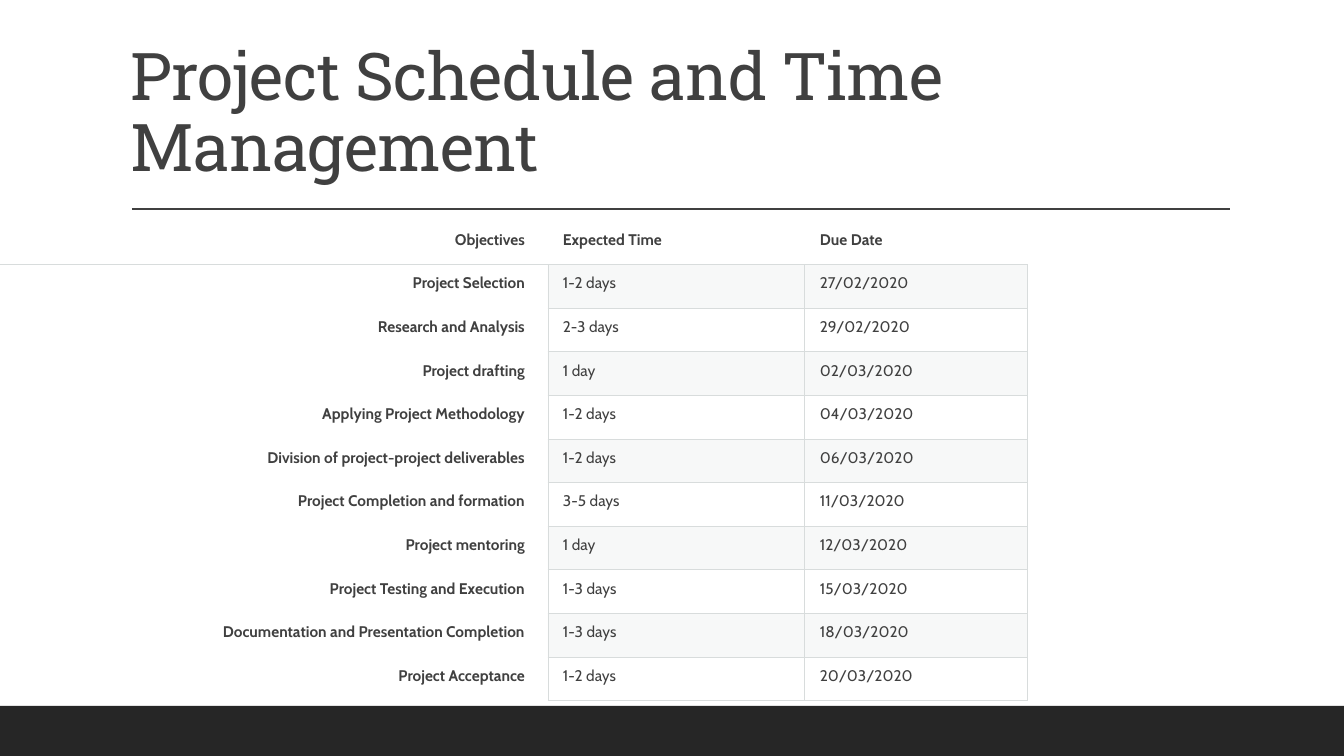
"""Build the project schedule slide with its table of objectives and dates."""
from lxml import etree
from pptx import Presentation
from pptx.dml.color import RGBColor
from pptx.enum.shapes import MSO_CONNECTOR, MSO_SHAPE
from pptx.enum.text import MSO_ANCHOR, PP_ALIGN
from pptx.oxml.ns import qn
from pptx.util import Pt

SCALE = 12192000 / 1344
COLORS = {"text": "404040", "bar": "262626", "border": "D8DCDC", "band": "D8DEDC", "white": "FFFFFF"}
NO_STYLE = "{2D5ABB26-0587-4C30-8999-92F81FD0307C}"
ROWS = [
    ("Objectives", "Expected Time", "Due Date"),
    ("Project Selection", "1-2 days", "27/02/2020"),
    ("Research and Analysis", "2-3 days", "29/02/2020"),
    ("Project drafting", "1 day", "02/03/2020"),
    ("Applying Project Methodology", "1-2 days", "04/03/2020"),
    ("Division of project-project deliverables", "1-2 days", "06/03/2020"),
    ("Project Completion and formation", "3-5 days", "11/03/2020"),
    ("Project mentoring", "1 day", "12/03/2020"),
    ("Project Testing and Execution", "1-3 days", "15/03/2020"),
    ("Documentation and Presentation Completion", "1-3 days", "18/03/2020"),
    ("Project Acceptance", "1-2 days", "20/03/2020"),
]


def px(*values):
    return [round(v * SCALE) for v in values]


def set_borders(cell, sides):
    tc_pr = cell._tc.get_or_add_tcPr()
    for i, side in enumerate("LRTB"):
        ln = etree.Element(qn(f"a:ln{side}"), w=str(Pt(0.75)))
        if side in sides:
            fill = etree.SubElement(ln, qn("a:solidFill"))
            etree.SubElement(fill, qn("a:srgbClr"), val=COLORS["border"])
        else:
            etree.SubElement(ln, qn("a:noFill"))
        tc_pr.insert(i, ln)


prs = Presentation()
prs.slide_width, prs.slide_height = px(1344, 756)
s = prs.slides.add_slide(prs.slide_layouts[6])
s.background.fill.solid()
s.background.fill.fore_color.rgb = RGBColor.from_string(COLORS["white"])

bar = s.shapes.add_shape(MSO_SHAPE.RECTANGLE, *px(0, 706, 1344, 50))
bar.shadow.inherit = False
bar.fill.solid()
bar.fill.fore_color.rgb = RGBColor.from_string(COLORS["bar"])
bar.line.fill.background()

rule = s.shapes.add_connector(MSO_CONNECTOR.STRAIGHT, *px(132, 209, 1230, 209))
rule.line.color.rgb = RGBColor.from_string(COLORS["text"])
rule.line.width = Pt(1)
etree.SubElement(rule._element.spPr, qn("a:effectLst"))

title = s.shapes.add_textbox(*px(121, 31, 1109, 160))
tf = title.text_frame
tf.word_wrap = True
tf.vertical_anchor = MSO_ANCHOR.BOTTOM
p = tf.paragraphs[0]
r = p.add_run()
r.text = "Project Schedule and Time Management"
r._r.get_or_add_rPr().set("spc", "-50")
p.line_spacing = 0.9
p.font.name = "Roboto Slab"
p.font.size = Pt(47)
p.font.color.rgb = RGBColor.from_string(COLORS["text"])

table = s.shapes.add_table(len(ROWS), 3, *px(0, 221, 1028, 480)).table
table._tbl.tblPr.find(qn("a:tableStyleId")).text = NO_STYLE
for column, width in zip(table.columns, px(548, 257, 223)):
    column.width = width

for i, row in enumerate(ROWS):
    for j, text in enumerate(row):
        cell = table.cell(i, j)
        cell.text = text
        cell.margin_left, cell.margin_right = px(15, 8 if j else 23)
        cell.margin_top, cell.margin_bottom = px(8, 8)
        p = cell.text_frame.paragraphs[0]
        p.alignment = PP_ALIGN.JUSTIFY if j else PP_ALIGN.RIGHT
        p.line_spacing = 1.07
        p.font.name = "Cabin"
        p.font.size = Pt(11)
        p.font.bold = i == 0 or j == 0
        p.font.color.rgb = RGBColor.from_string(COLORS["text"])
        if i % 2 and j:
            cell.fill.solid()
            cell.fill.fore_color.rgb = RGBColor.from_string(COLORS["band"])
            color = cell._tc.tcPr.find(".//" + qn("a:srgbClr"))
            etree.SubElement(color, qn("a:alpha"), val="20000")
        else:
            cell.fill.background()
        if i == 0:
            set_borders(cell, "B")
        elif j == 0:
            set_borders(cell, "RT" if i == 1 else "R")
        else:
            set_borders(cell, "LRTB")

prs.save("out.pptx")
